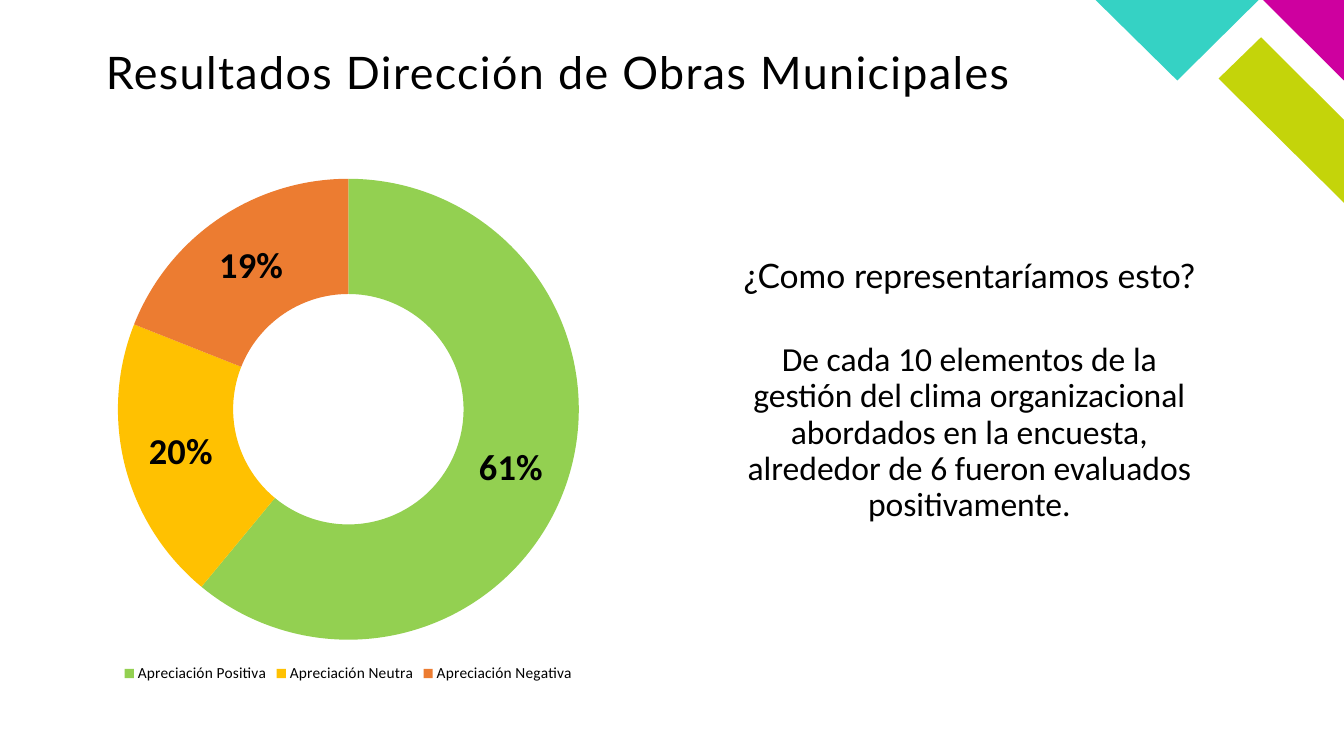
from lxml import etree
from pptx import Presentation
from pptx.chart.data import CategoryChartData
from pptx.dml.color import RGBColor
from pptx.enum.chart import XL_CHART_TYPE, XL_LEGEND_POSITION
from pptx.enum.text import MSO_ANCHOR, MSO_AUTO_SIZE, PP_ALIGN
from pptx.oxml import parse_xml
from pptx.oxml.ns import nsdecls
from pptx.util import Cm, Pt

DOUGHNUT = XL_CHART_TYPE.DOUGHNUT
BOTTOM = XL_LEGEND_POSITION.BOTTOM
TOP, MIDDLE = MSO_ANCHOR.TOP, MSO_ANCHOR.MIDDLE
LEFT, CENTER = PP_ALIGN.LEFT, PP_ALIGN.CENTER
NO_FIT = MSO_AUTO_SIZE.NONE

COLORS = {
    "text": "000000",
    "teal": "35D2C4",
    "magenta": "CE009F",
    "lime": "C4D40A",
    "positive": "93D051",
    "neutral": "FFC101",
    "negative": "EC7C31",
}
RESULTS = [
    ("Apreciación Positiva", 0.61, "positive"),
    ("Apreciación Neutra", 0.20, "neutral"),
    ("Apreciación Negativa", 0.19, "negative"),
]
# Outlines in centimetres from the top left of the corner box
CORNER_OUTLINES = {
    "lime": [(6.26, 5.11), (6.26, 3.02), (4.17, 0.94), (3.1, 1.98)],
    "magenta": [(6.26, 2.03), (6.26, 0), (4.22, 0)],
    "teal": [(0, 0), (2.06, 2.03), (4.11, 0)],
}
RING_LAYOUT = {"x": 0.06, "y": 0.03, "w": 0.88, "h": 0.88}


def rgb(name):
    return RGBColor.from_string(COLORS[name])


def set_font(font, size, **extra):
    for attribute, value in {"size": Pt(size), **extra}.items():
        setattr(font, attribute, value)
    font.color.rgb = rgb("text")


def write_text(frame, text, size, typeface, align, anchor):
    frame_format = {"word_wrap": True, "auto_size": NO_FIT, "vertical_anchor": anchor}
    for attribute, value in frame_format.items():
        setattr(frame, attribute, value)
    frame.text = text
    paragraph = frame.paragraphs[0]
    paragraph.alignment = align
    paragraph.line_spacing = 0.9
    paragraph.space_before = Pt(0)
    run = paragraph.runs[0]
    set_font(run.font, size, name=typeface)
    return run


def add_corner(slide, left, top):
    for color, outline in CORNER_OUTLINES.items():
        points = [(Cm(left + x), Cm(top + y)) for x, y in outline]
        builder = slide.shapes.build_freeform(*points[0])
        builder.add_line_segments(points[1:], close=True)
        band = builder.convert_to_shape()
        band.shadow.inherit = False
        band.fill.solid()
        band.fill.fore_color.rgb = rgb(color)
        band.line.fill.background()


def place_title(slide, left, top, width, height):
    title = slide.shapes.title
    box = {"left": left, "top": top, "width": width, "height": height}
    for side, length in box.items():
        setattr(title, side, Cm(length))
    frame = title.text_frame
    for side in ("left", "top", "right", "bottom"):
        setattr(frame, f"margin_{side}", 0)
    run = write_text(frame, "Resultados Dirección de Obras Municipales", 32, "Lato", LEFT, TOP)
    run.font._element.set("spc", "100")


def fix_ring_layout(chart):
    """Place the ring at fixed fractions of the chart area."""
    layout = parse_xml(
        f'<c:layout {nsdecls("c")}><c:manualLayout><c:layoutTarget val="inner"/>'
        '<c:xMode val="edge"/><c:yMode val="edge"/></c:manualLayout></c:layout>'
    )
    for side, fraction in RING_LAYOUT.items():
        tag = layout[0][0].tag.replace("layoutTarget", side)
        etree.SubElement(layout[0], tag).set("val", str(fraction))
    plot_area = chart._chartSpace.chart.plotArea
    for automatic in plot_area.xpath("c:layout"):
        plot_area.remove(automatic)
    plot_area.insert(0, layout)


def add_results_chart(slide, left, top, size):
    data = CategoryChartData(number_format="0%")
    data.categories = [category for category, _, _ in RESULTS]
    data.add_series("Apreciación", [share for _, share, _ in RESULTS])
    chart = slide.shapes.add_chart(
        DOUGHNUT, Cm(left), Cm(top), Cm(size), Cm(size), data
    ).chart
    set_font(chart.font, 18, name="Calibri")
    chart.has_title = False
    chart.has_legend = True
    chart.legend.position = BOTTOM
    chart.legend.include_in_layout = False
    set_font(chart.legend.font, 11, name="Calibri")

    plot = chart.plots[0]
    plot.vary_by_categories = True
    plot._element.xpath("c:holeSize")[0].set("val", "50")
    for index, (_, _, color) in enumerate(RESULTS):
        fill = plot.series[0].points[index].format.fill
        fill.solid()
        fill.fore_color.rgb = rgb(color)

    plot.has_data_labels = True
    labels = plot.data_labels
    label_format = {
        "show_value": True,
        "show_percentage": False,
        "number_format": "0%",
        "number_format_is_linked": False,
    }
    for attribute, value in label_format.items():
        setattr(labels, attribute, value)
    set_font(labels.font, 26, name="Calibri", bold=True)
    fix_ring_layout(chart)


def add_reading(slide, left, top, width):
    """Add the question and, below it, the reading of the results."""
    question = slide.shapes.add_textbox(Cm(left), Cm(top), Cm(width), Cm(2.2))
    write_text(question.text_frame, "¿Como representaríamos esto?", 24, "Lato", CENTER, MIDDLE)
    inset = 0.16
    answer = slide.shapes.add_textbox(
        Cm(left + inset), Cm(top + 1.9), Cm(width - 2 * inset), Cm(6.25)
    )
    write_text(
        answer.text_frame,
        "De cada 10 elementos de la gestión del clima organizacional abordados "
        "en la encuesta, alrededor de 6 fueron evaluados positivamente.",
        24, "Calibri", CENTER, MIDDLE,
    )


def main():
    presentation = Presentation()
    presentation.slide_width = Cm(33.87)
    presentation.slide_height = Cm(19.05)
    title_only = presentation.slide_layouts[5]
    slide = presentation.slides.add_slide(title_only)
    add_corner(slide, 27.61, 0)
    place_title(slide, 2.67, 1.27, 25.4, 1.7)
    add_reading(slide, 18.08, 5.89, 12.7)
    add_results_chart(slide, 2.18, 4.11, 13.2)
    presentation.save("out.pptx")


if __name__ == "__main__":
    main()
